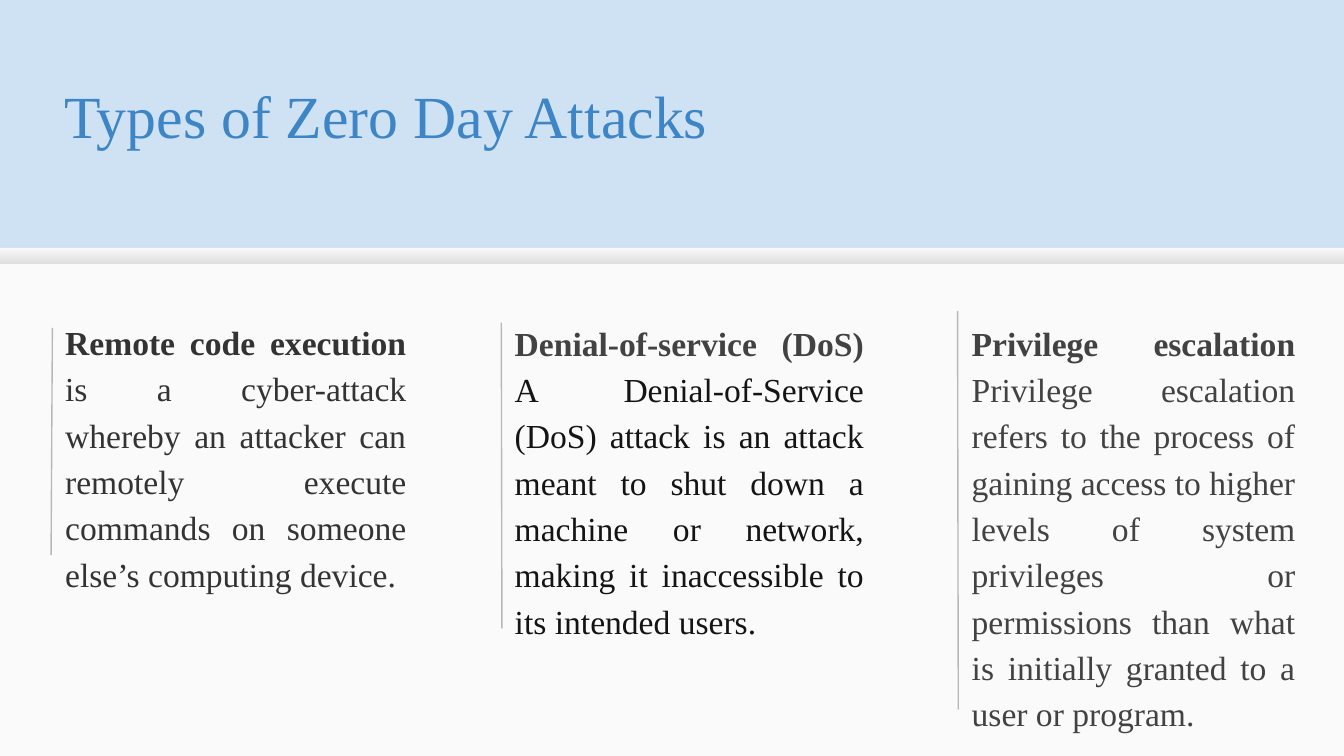
from lxml import etree
from pptx import Presentation
from pptx import util as u
from pptx.dml.color import RGBColor
from pptx.enum import shapes, text
from pptx.oxml.ns import qn

PX = 4572  # 200 px to the inch
WIDE, HIGH = 2000, 1125
FONT = "Times New Roman"


def px(n):
    return u.Emu(n * PX)


def paint(color, tone):
    color.rgb = RGBColor.from_string(tone)


def place(shape, box):
    shape.left, shape.top, shape.width, shape.height = map(px, box)


def add_run(para, words, size, tone, bold=False):
    run = para.add_run()
    run.text = words
    run.font.name, run.font.size, run.font.bold = FONT, u.Pt(size), bold
    paint(run.font.color, tone)


def set_frame(shape, anchor):
    frame = shape.text_frame
    frame.word_wrap = True
    frame.auto_size = text.MSO_AUTO_SIZE.NONE
    frame.vertical_anchor = anchor
    frame.margin_left = frame.margin_right = px(20)
    frame.margin_top = frame.margin_bottom = px(20)
    return frame.paragraphs[0]


def add_rect(slide, box):
    rect = slide.shapes.add_shape(shapes.MSO_SHAPE.RECTANGLE, *map(px, box))
    rect.shadow.inherit = False
    rect.line.fill.background()
    return rect


def add_panel(slide, box):
    """Light lower panel with a shaded strip along its top edge."""
    x, y, w, h = box
    panel = add_rect(slide, box)
    panel.fill.solid()
    paint(panel.fill.fore_color, "FAFAFA")

    strip = add_rect(slide, (x, y, w, 24))
    strip.fill.gradient()
    strip.fill.gradient_angle = 270
    for stop, tone in zip(strip.fill.gradient_stops, ("F9F9F9", "DEDEDE")):
        paint(stop.color, tone)


def add_title(slide, box, words):
    title = slide.shapes.title
    place(title, box)
    para = set_frame(title, text.MSO_ANCHOR.BOTTOM)
    para.alignment = text.PP_ALIGN.LEFT
    add_run(para, words, 32, "3D85C6")


def add_column(slide, holder, box, rule, runs):
    """Justified text with a thin rule at its left; rule ends are offsets."""
    x, y = box[:2]
    x1, y1, x2, y2 = rule
    line = slide.shapes.add_connector(
        shapes.MSO_CONNECTOR.STRAIGHT,
        px(x + x1), px(y + y1), px(x + x2), px(y + y2))
    paint(line.line.color, "B7B7B7")
    line.line.width = u.Pt(0.75)
    etree.SubElement(line._element.spPr, qn("a:effectLst"))

    # Text goes in front of the panel
    slide.shapes._spTree.append(holder._element)
    place(holder, box)
    para = set_frame(holder, text.MSO_ANCHOR.TOP)
    props = para._p.get_or_add_pPr()
    props.set("marL", "0")
    props.set("indent", "0")
    etree.SubElement(props, qn("a:buNone"))
    para.alignment = text.PP_ALIGN.JUSTIFY
    para.line_spacing = 1.15
    para.space_before, para.space_after = u.Pt(0), u.Pt(16)
    for words, tone, bold in runs:
        add_run(para, words, 18, tone, bold)


COLUMNS = [
    ((77, 450, 548, 224), (1, 38, -1, 376), [
        ("Remote code execution", "333333", True),
        (" is a cyber-attack whereby an attacker can remotely execute "
         "commands on someone else’s computing device.", "333333", False)]),
    ((746, 451, 560, 126), (0, 29, 1, 484), [
        ("Denial-of-service (DoS) ", "424242", True),
        ("A Denial-of-Service (DoS) attack is an attack meant to shut down "
         "a machine or network, making it inaccessible to its intended "
         "users.", "141414", False)]),
    ((1426, 451, 522, 126), (-1, 12, 0, 605), [
        ("Privilege escalation", "424242", True),
        (" Privilege escalation refers to the process of gaining access to "
         "higher levels of system privileges or permissions than what is "
         "initially granted to a user or program.", "424242", False)]),
]


def main():
    deck = Presentation()
    deck.slide_width, deck.slide_height = px(WIDE), px(HIGH)
    slide = deck.slides.add_slide(deck.slide_layouts[4])
    back = slide.background.fill
    back.solid()
    paint(back.fore_color, "CFE2F3")

    add_panel(slide, (0, 369, WIDE, HIGH - 369))
    add_title(slide, (76, 76, 1798, 168), "Types of Zero Day Attacks")

    # Three of the layout's four bodies are used
    *bodies, spare = list(slide.placeholders)[1:]
    spare._element.getparent().remove(spare._element)
    for holder, column in zip(bodies, COLUMNS):
        add_column(slide, holder, *column)
    deck.save("out.pptx")


if __name__ == "__main__":
    main()
